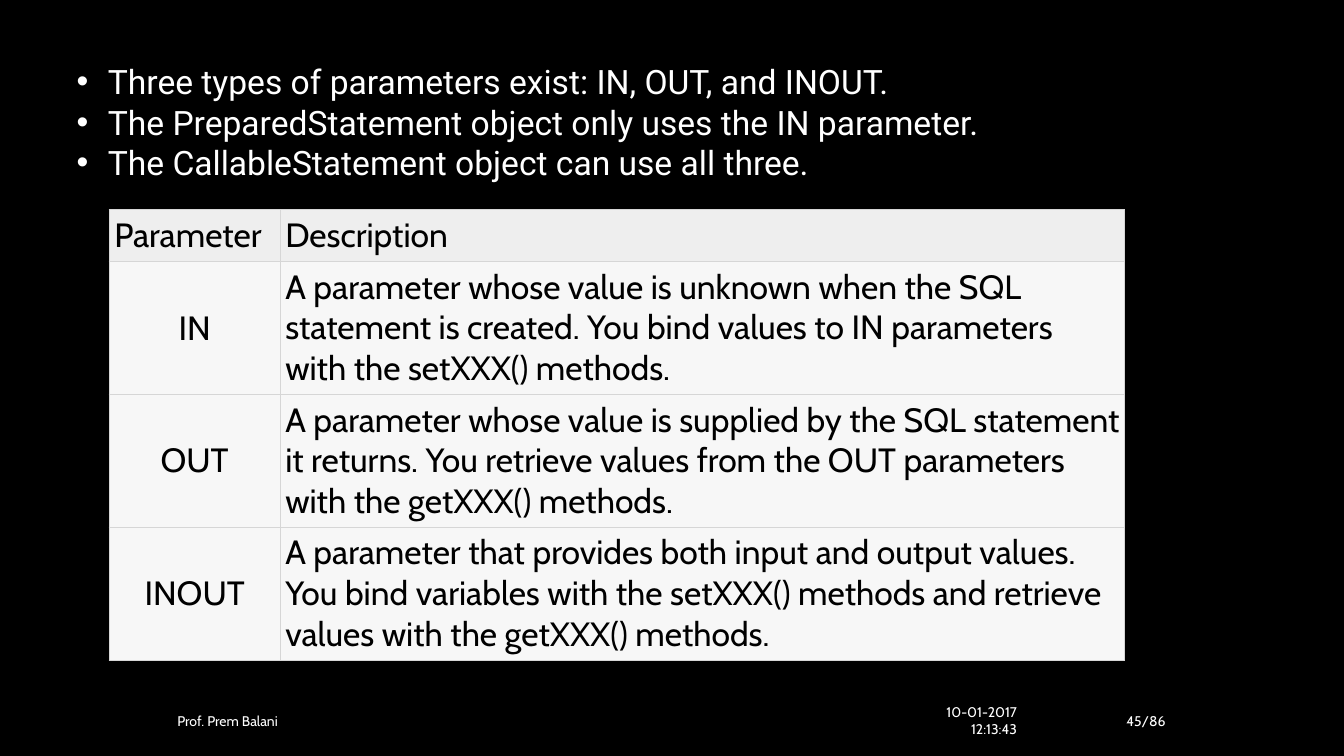
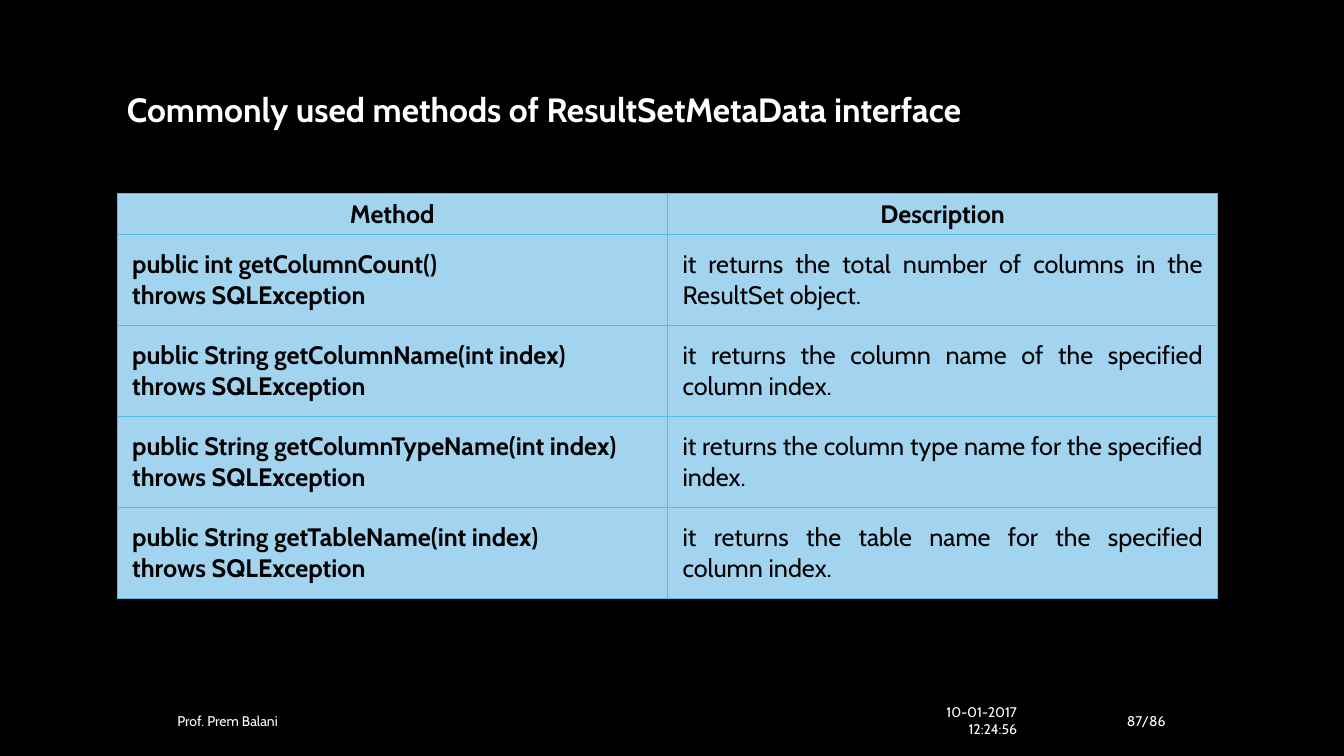
from lxml.etree import SubElement as Sub
from pptx import Presentation
from pptx.dml.color import RGBColor
from pptx.enum.text import MSO_ANCHOR as Anchor, PP_ALIGN as Align
from pptx.oxml.ns import qn
from pptx.util import Cm, Pt

WHITE, BLACK = "FFFFFF", "000000"
FOOT = {"size": 10, "name": "Cabin", "color": WHITE}
TITLE = {"size": 24, "name": "Cabin", "color": WHITE, "bold": True}
LIST = {"size": 24, "name": "Roboto", "color": WHITE}
BODY = {"size": 24, "name": "Cabin", "color": BLACK, "bold": False}
CELL = {**BODY, "size": 18}
BOLD = {**CELL, "bold": True}

POINTS = [
    "Three types of parameters exist: IN, OUT, and INOUT.",
    "The PreparedStatement object only uses the IN parameter.",
    "The CallableStatement object can use all three.",
]
PARAMS = [
    ("Parameter", "Description"),
    ("IN", "A parameter whose value is unknown when the SQL statement is created. "
           "You bind values to IN parameters with the setXXX() methods."),
    ("OUT", "A parameter whose value is supplied by the SQL statement it returns. "
            "You retrieve values from the OUT parameters with the getXXX() methods."),
    ("INOUT", "A parameter that provides both input and output values. You bind variables "
              "with the setXXX() methods and retrieve values with the getXXX() methods."),
]
METHODS = [
    ("public int getColumnCount()",
     "it returns the total number of columns in the ResultSet object."),
    ("public String getColumnName(int index)",
     "it returns the column name of the specified column index."),
    ("public String getColumnTypeName(int index)",
     "it returns the column type name for the specified index."),
    ("public String getTableName(int index)",
     "it returns the table name for the specified column index."),
]


def paint(fill, color):
    fill.solid()
    fill.fore_color.rgb = RGBColor.from_string(color)


def write(frame, lines, style, align=Align.LEFT):
    for i, line in enumerate(lines):
        para = frame.paragraphs[0] if i == 0 else frame.add_paragraph()
        para.alignment = align
        run = para.add_run()
        run.text = line
        for key, val in style.items():
            if key == "color":
                paint(run.font.fill, val)
            else:
                setattr(run.font, key, Pt(val) if key == "size" else val)


def add_text(slide, box, lines, style, align=Align.LEFT, anchor=Anchor.MIDDLE):
    frame = slide.shapes.add_textbox(*map(Cm, box)).text_frame
    frame.word_wrap = True
    frame.vertical_anchor = anchor
    write(frame, lines, style, align)
    return frame


def add_list(slide, box, lines):
    frame = add_text(slide, box, lines, LIST, Align.JUSTIFY)
    for para in frame.paragraphs:
        prop = para._p.get_or_add_pPr()
        prop.set("marL", str(Cm(0.79)))
        prop.set("indent", str(-Cm(0.79)))
        Sub(prop, qn("a:buFont"), typeface="Arial")
        Sub(prop, qn("a:buChar"), char="•")


def add_grid(slide, left, top, cols, rows):
    box = left, top, sum(cols), sum(rows)
    grid = slide.shapes.add_table(len(rows), len(cols), *map(Cm, box)).table
    for col, width in zip(grid.columns, cols):
        col.width = Cm(width)
    for row, height in zip(grid.rows, rows):
        row.height = Cm(height)
    return grid


def set_cell(cell, lines, style, fill, edge, weight, pad,
             align=Align.LEFT, anchor=Anchor.TOP):
    for side in ("left", "right", "top", "bottom"):
        setattr(cell, f"margin_{side}", Cm(pad))
    cell.vertical_anchor = anchor
    prop = cell._tc.get_or_add_tcPr()
    for side in "LRTB":
        line = Sub(prop, qn(f"a:ln{side}"), w=str(Pt(weight)))
        Sub(Sub(line, qn("a:solidFill")), qn("a:srgbClr"), val=edge)
    paint(cell.fill, fill)
    write(cell.text_frame, lines, style, align)


def add_foot(slide, top, time, page):
    for left, width, text, align in (
        (4.22, 17.58, "Prof. Prem Balani", Align.LEFT),
        (22.43, 3.45, f"10-01-2017 {time}", Align.RIGHT),
        (26.44, 3.18, f"{page}/86", Align.RIGHT),
    ):
        add_text(slide, (left, top, width, 0.76), [text], FOOT, align)


def param_grid(slide, left, top):
    grid = add_grid(slide, left, top, [4.31, 21.29], [1.3] + [3.35] * 3)
    for r, row in enumerate(PARAMS):
        for c, text in enumerate(row):
            mid = r > 0 and c == 0
            set_cell(grid.cell(r, c), [text], BODY, "F7F7F7" if r else "EEEEEE",
                     "D6D6D6", 0.75, 0.13,
                     Align.CENTER if mid else Align.LEFT,
                     Anchor.MIDDLE if mid else Anchor.TOP)


def method_grid(slide, left, top):
    grid = add_grid(slide, left, top, [13.87] * 2, [1.03] + [2.29] * 4)
    look = {"fill": "A2D4EF", "edge": "57BCE5", "weight": 0.5}
    for c, text in enumerate(("Method", "Description")):
        set_cell(grid.cell(0, c), [text], BOLD, pad=0.13,
                 align=Align.CENTER, anchor=Anchor.MIDDLE, **look)
    for r, (name, text) in enumerate(METHODS, 1):
        set_cell(grid.cell(r, 0), [name, "throws SQLException"], BOLD,
                 pad=0.38, anchor=Anchor.MIDDLE, **look)
        set_cell(grid.cell(r, 1), [text], CELL, pad=0.38,
                 align=Align.JUSTIFY, **look)


def add_slide(deck, time, page):
    slide = deck.slides.add_slide(deck.slide_layouts[6])
    paint(slide.background.fill, BLACK)
    add_foot(slide, 17.78, time, page)
    return slide


def main():
    deck = Presentation()
    deck.slide_width, deck.slide_height = Cm(33.87), Cm(19.05)

    slide = add_slide(deck, "12:13:43", 45)
    add_list(slide, (1.68, 1.4, 29.85, 3.33), POINTS)
    param_grid(slide, 2.75, 5.29)

    slide = add_slide(deck, "12:24:56", 87)
    add_text(slide, (2.95, 2.11, 21.79, 1.27),
             ["Commonly used methods of ResultSetMetaData interface"],
             TITLE, anchor=Anchor.TOP)
    method_grid(slide, 2.95, 4.88)

    deck.save("out.pptx")


if __name__ == "__main__":
    main()
